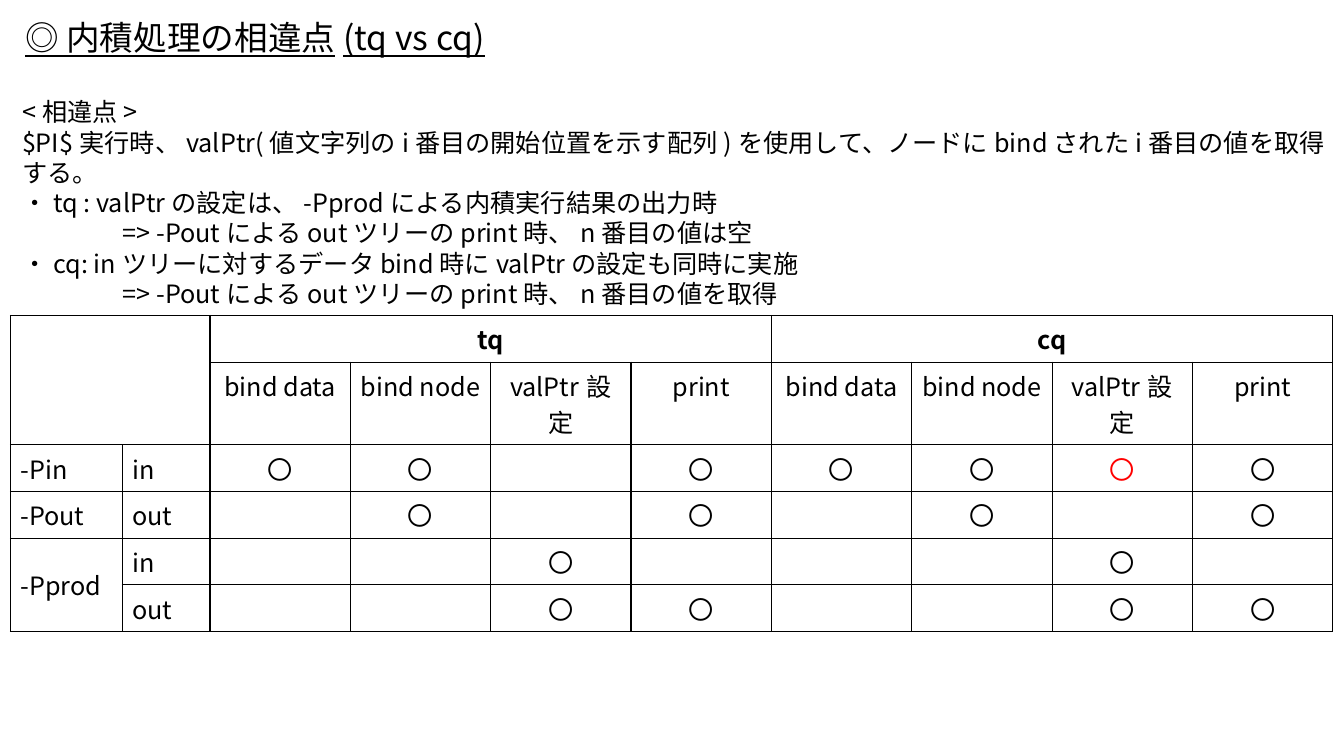
from collections import namedtuple
from lxml.etree import SubElement
from pptx import Presentation
from pptx.dml.color import RGBColor
from pptx.enum.text import MSO_ANCHOR, MSO_AUTO_SIZE, PP_ALIGN
from pptx.oxml.ns import qn
from pptx.util import Inches, Pt

FONT = "Noto Sans CJK JP"
BLACK, RED = "000000", "FF0000"
CIRCLE = "〇"
Box = namedtuple("Box", "left top width height")

TITLE = "◎ 内積処理の相違点(tq vs cq)"
DIFFERENCES = [
    ("<相違点>", 0),
    ("$PI$実行時、valPtr(値文字列のi番目の開始位置を示す配列)を使用して、"
     "ノードにbindされたi番目の値を取得する。", 0),
    ("・tq : valPtrの設定は、-Pprodによる内積実行結果の出力時", 0),
    ("=> -Poutによるoutツリーのprint時、n番目の値は空", 1),
    ("・cq: inツリーに対するデータbind時にvalPtrの設定も同時に実施", 0),
    ("=> -Poutによるoutツリーのprint時、n番目の値を取得", 1),
]
COMMANDS = ["tq", "cq"]
STEPS = ["bind data", "bind node", "valPtr設定", "print"]
OPTIONS = [
    ("-Pin", "in", "oo.oooRo"),
    ("-Pout", "out", ".o.o.o.o"),
    ("-Pprod", "in", "..o...o."),
    ("", "out", "..oo..oo"),
]


def color(value):
    return RGBColor.from_string(value)


def share_box(deck, left, top, width, height):
    across, down = deck.slide_width / 100, deck.slide_height / 100
    return Box(int(left * across), int(top * down), int(width * across), int(height * down))


def write(para, text, size=18, ink=BLACK, bold=False, underline=False,
          align=PP_ALIGN.LEFT, indent=0):
    para.alignment = align
    para.line_spacing = 1.0
    if indent:
        props = para._p.get_or_add_pPr()
        props.set("marL", str(Inches(indent)))
        props.set("indent", "0")
    span = para.add_run()
    span.text = text
    span.font.name = FONT
    span.font.size = Pt(size)
    span.font.bold = bold
    span.font.underline = underline
    span.font.color.rgb = color(ink)
    SubElement(span.font._element, qn("a:ea"), typeface=FONT)


def place_title(page, box):
    title = page.shapes.title
    title.left, title.top, title.width, title.height = box
    frame = title.text_frame
    frame.word_wrap = True
    frame.auto_size = MSO_AUTO_SIZE.SHAPE_TO_FIT_TEXT
    frame.vertical_anchor = MSO_ANCHOR.TOP
    write(frame.paragraphs[0], TITLE, size=24, underline=True)


def place_differences(page, box):
    frame = page.shapes.add_textbox(*box).text_frame
    frame.word_wrap = True
    frame.auto_size = MSO_AUTO_SIZE.SHAPE_TO_FIT_TEXT
    for index, (text, indent) in enumerate(DIFFERENCES):
        para = frame.add_paragraph() if index else frame.paragraphs[0]
        write(para, text, indent=indent)


def style_cell(cell):
    props = cell._tc.get_or_add_tcPr()
    for side in ("lnL", "lnR", "lnT", "lnB"):
        line = SubElement(props, qn(f"a:{side}"), w=str(Pt(1)))
        fill = SubElement(line, qn("a:solidFill"))
        SubElement(fill, qn("a:srgbClr"), val=BLACK)
    cell.fill.background()


def place_comparison(page, box):
    rows, columns = 2 + len(OPTIONS), 2 + len(COMMANDS) * len(STEPS)
    table = page.shapes.add_table(rows, columns, *box).table
    table.first_row = table.horz_banding = False
    labels = [Inches(1.11), Inches(0.87)]
    step_width = (box.width - sum(labels)) // (columns - 2)
    for column, width in zip(table.columns, labels + [step_width] * (columns - 2)):
        column.width = width
    step_height = Inches(0.82)
    for row in table.rows:
        row.height = (box.height - step_height) // (rows - 1)
    table.rows[1].height = step_height
    for cell in table.iter_cells():
        style_cell(cell)

    def fill_cell(row, column, text, **style):
        write(table.cell(row, column).text_frame.paragraphs[0], text, **style)

    table.cell(0, 0).merge(table.cell(1, 1))
    for group, command in enumerate(COMMANDS):
        first = 2 + group * len(STEPS)
        table.cell(0, first).merge(table.cell(0, first + len(STEPS) - 1))
        fill_cell(0, first, command, bold=True, align=PP_ALIGN.CENTER)
        for offset, step in enumerate(STEPS):
            fill_cell(1, first + offset, step, align=PP_ALIGN.CENTER)
    for row, (option, tree, marks) in enumerate(OPTIONS, 2):
        if option:
            fill_cell(row, 0, option)
        fill_cell(row, 1, tree)
        for column, mark in enumerate(marks, 2):
            if mark != ".":
                ink = RED if mark == "R" else BLACK
                fill_cell(row, column, CIRCLE, ink=ink, align=PP_ALIGN.CENTER)
    product = table.cell(rows - 2, 0)
    product.merge(table.cell(rows - 1, 0))
    product.vertical_anchor = MSO_ANCHOR.MIDDLE


def build():
    deck = Presentation()
    deck.slide_width, deck.slide_height = Inches(13.33), Inches(7.5)
    page = deck.slides.add_slide(deck.slide_layouts[5])
    place_comparison(page, share_box(deck, 0.77, 41.73, 98.42, 41.8))
    place_differences(page, share_box(deck, 0.9, 12.13, 99.1, 25.6))
    place_title(page, share_box(deck, 1.13, 1.6, 51.84, 6.67))
    deck.save("out.pptx")


build()
